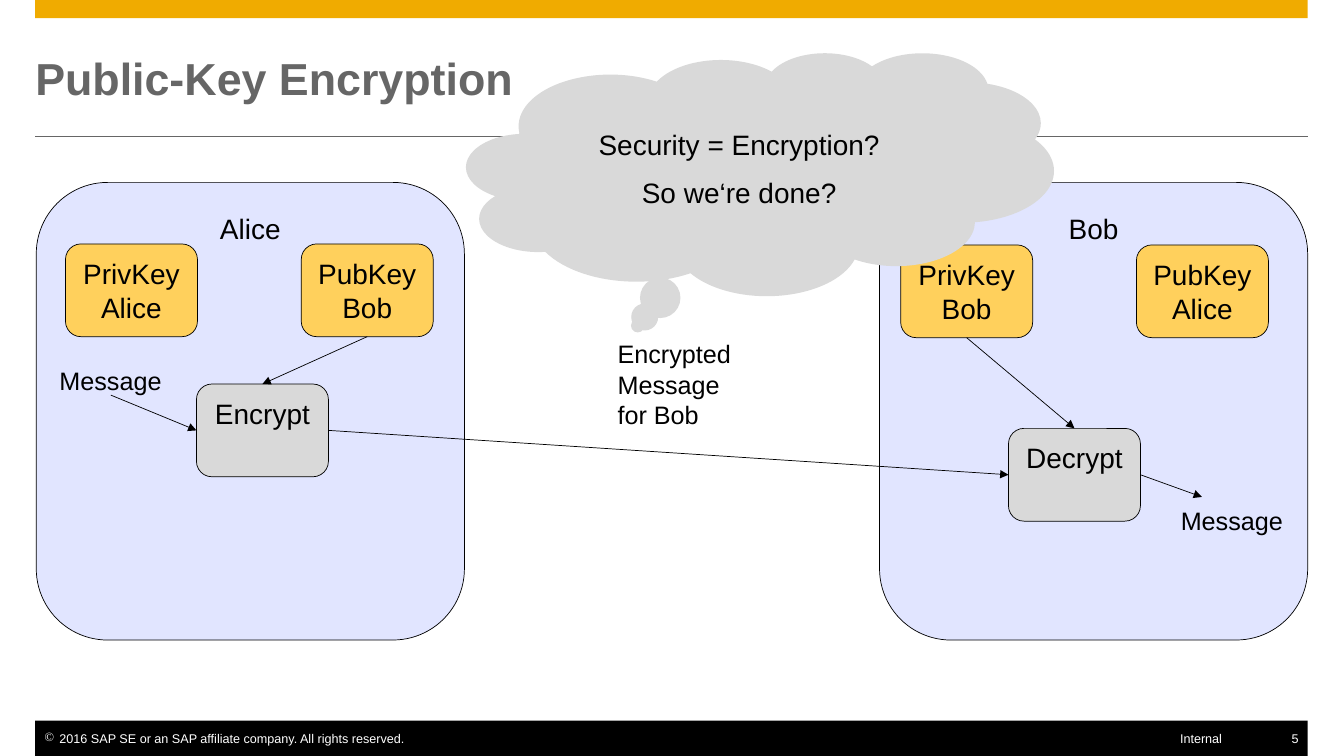
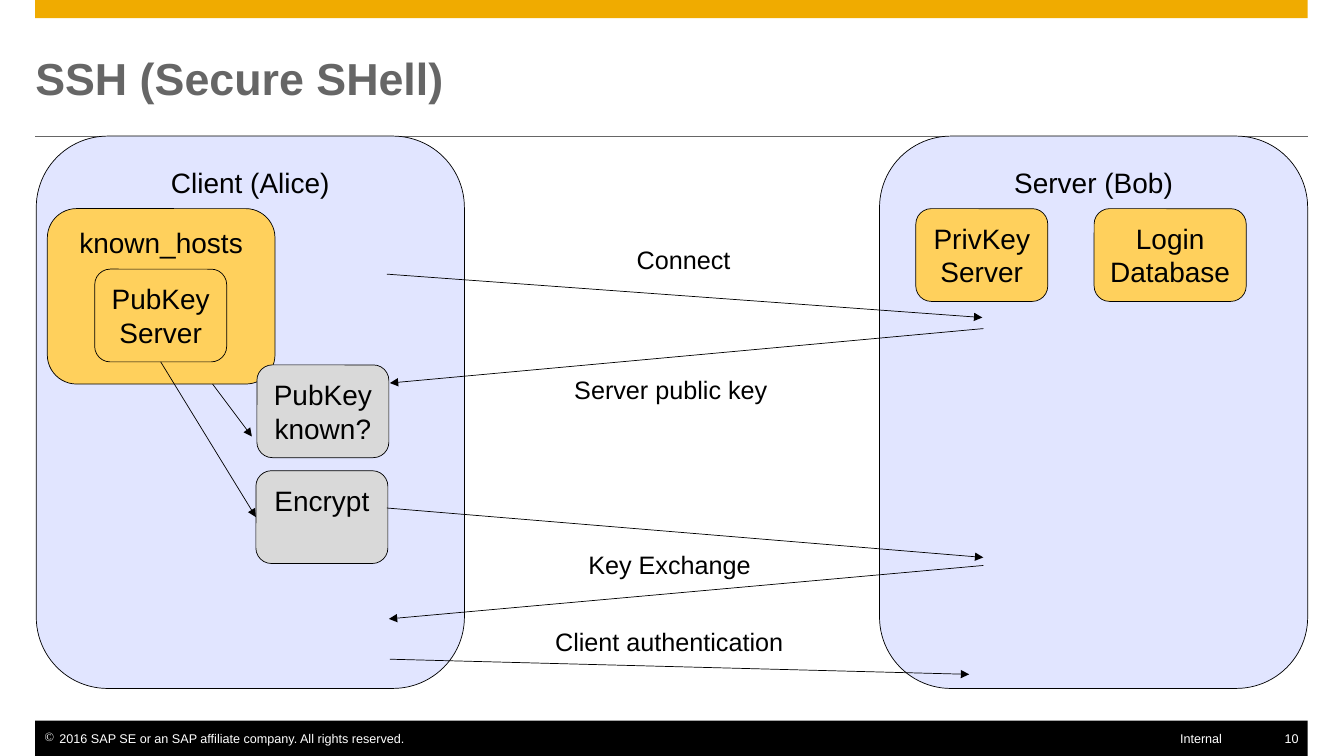
"""Build two slides on public-key encryption and SSH."""
from dataclasses import dataclass

from lxml.etree import SubElement
from pptx import Presentation
from pptx.dml.color import RGBColor
from pptx.enum.shapes import MSO_CONNECTOR as Connector, MSO_SHAPE as Shape
from pptx.enum.text import MSO_ANCHOR as Anchor, MSO_AUTO_SIZE as AutoSize, PP_ALIGN as Align
from pptx.oxml.ns import qn
from pptx.util import Inches, Pt


@dataclass(frozen=True)
class Theme:
    """Colours, font and type sizes."""
    font: str = "Arial"
    accent: str = "F0AB00"
    grey: str = "666666"
    black: str = "000000"
    white: str = "FFFFFF"
    panel: str = "E1E5FF"
    key: str = "FFD05C"
    step: str = "D9D9D9"
    title_size: int = 32
    node_size: int = 20
    label_size: int = 18
    footer_size: int = 9
    line_width: float = 0.5


THEME = Theme()
TOP, LEFT, BOTTOM, RIGHT = range(4)
MARGIN, CONTENT_WIDTH = 0.35, 12.63
PANEL_WIDTH, PANEL_LEFTS = 4.25, (0.36, 8.73)
NODE_SIZE = (1.31, 0.92)
NODE_INSETS = (0.1, 0.08, 0.1, 0.08)
COPYRIGHT = "2016 SAP SE or an SAP affiliate company. All rights reserved."
CLASSIFICATION = "Internal"

SLIDES = [
    {
        "title": "Public-Key Encryption",
        "number": 5,
        "panels": ("Alice", "Bob"),
        "panel_span": (1.81, 4.54),
        "nodes": {
            "alice_private": ("PrivKey Alice", THEME.key, (0.65, 2.42), NODE_SIZE),
            "bob_public": ("PubKey Bob", THEME.key, (2.99, 2.42), NODE_SIZE),
            "encrypt": ("Encrypt", THEME.step, (1.95, 3.81), NODE_SIZE),
            "decrypt": ("Decrypt", THEME.step, (10.01, 4.25), NODE_SIZE),
            "bob_private": ("PrivKey Bob", THEME.key, (8.94, 2.43), NODE_SIZE),
            "alice_public": ("PubKey Alice", THEME.key, (11.28, 2.43), NODE_SIZE),
        },
        "labels": {
            "sent": ("Message", (0.59, 3.62, 1.02, 0.3)),
            "cipher": ("Encrypted\vMessage\vfor Bob", (6.13, 3.36, 1.21, 0.91)),
            "received": ("Message", (11.72, 5.01, 1.02, 0.3)),
        },
        "arrows": [
            (("sent", BOTTOM), ("encrypt", LEFT)),
            (("encrypt", RIGHT), ("decrypt", LEFT)),
            (("bob_public", BOTTOM), ("encrypt", TOP)),
            (("decrypt", RIGHT), (11.93, 4.93)),
            (("bob_private", BOTTOM), ("decrypt", TOP)),
        ],
        "cloud": (["Security = Encryption?", "So we‘re done?"], (4.63, 0.52, 5.83, 2.41)),
    },
    {
        "title": "SSH (Secure SHell)",
        "number": 10,
        "panels": ("Client (Alice)", "Server (Bob)"),
        "panel_span": (1.35, 5.48),
        "nodes": {
            "server_private": ("PrivKey Server", THEME.key, (9.09, 2.07), NODE_SIZE),
            "known_hosts": ("known_hosts", THEME.key, (0.47, 2.07), (2.26, 1.74)),
            "server_public": ("PubKey Server", THEME.key, (0.94, 2.67), NODE_SIZE),
            "key_check": ("PubKey\vknown?", THEME.step, (2.55, 3.62), NODE_SIZE),
            "encrypt": ("Encrypt", THEME.step, (2.54, 4.67), NODE_SIZE),
            "logins": ("Login Database", THEME.key, (10.86, 2.07), (1.51, 0.92)),
        },
        "labels": {
            "connect": ("Connect", (6.32, 2.42, 0.94, 0.3)),
            "public_key": ("Server public key", (5.7, 3.71, 1.94, 0.3)),
            "exchange": ("Key Exchange", (5.84, 5.45, 1.63, 0.3)),
            "authentication": ("Client authentication", (5.51, 6.21, 2.29, 0.3)),
        },
        "arrows": [
            ((3.84, 2.72), (9.75, 3.15)),
            ((9.76, 3.26), (3.87, 3.8)),
            ((3.84, 5.04), (9.76, 5.53)),
            ((2.11, 3.81), (2.5, 4.33)),
            (("server_public", BOTTOM), ("encrypt", LEFT)),
            ((9.76, 5.61), (3.86, 6.14)),
            ((3.87, 6.54), (9.62, 6.69)),
        ],
    },
]


def rgb(value):
    """Turn a hex string into a colour."""
    return RGBColor.from_string(value)


def write(shape, lines, size, color, align=Align.LEFT, anchor=Anchor.TOP,
          insets=(0, 0, 0, 0), wrap=True, bold=False, bullet=None):
    """Fill a shape with formatted paragraphs."""
    frame = shape.text_frame
    frame.auto_size = AutoSize.NONE
    frame.word_wrap = wrap
    frame.vertical_anchor = anchor
    (frame.margin_left, frame.margin_top,
     frame.margin_right, frame.margin_bottom) = map(Inches, insets)
    for index, line in enumerate(lines):
        paragraph = frame.add_paragraph() if index else frame.paragraphs[0]
        paragraph.text = line
        paragraph.alignment = align
        paragraph.space_before = Pt(size / 2 if index else 0)
        if bullet:
            properties = paragraph._p.get_or_add_pPr()
            properties.set("marL", str(Inches(0.15)))
            properties.set("indent", str(-Inches(0.15)))
            bullet_color = SubElement(properties, qn("a:buClr"))
            SubElement(bullet_color, qn("a:srgbClr"), val=color)
            SubElement(properties, qn("a:buChar"), char=bullet)
        font = paragraph.font
        font.name, font.size, font.bold = THEME.font, Pt(size), bold
        font.color.rgb = rgb(color)


def add_block(slide, kind, box, fill, outlined=False):
    """Add a filled preset shape, outlined on request."""
    block = slide.shapes.add_shape(kind, *map(Inches, box))
    block.shadow.inherit = False
    block.fill.solid()
    block.fill.fore_color.rgb = rgb(fill)
    if outlined:
        block.line.color.rgb = rgb(THEME.black)
        block.line.width = Pt(THEME.line_width)
    else:
        block.line.fill.background()
    return block


def add_node(slide, text, fill, box):
    """Add an outlined rounded box with centred text."""
    node = add_block(slide, Shape.ROUNDED_RECTANGLE, box, fill, outlined=True)
    write(node, [text], THEME.node_size, THEME.black, Align.CENTER, insets=NODE_INSETS)
    return node


def add_label(slide, text, box, size, color, **style):
    """Add an unwrapped text box."""
    label = slide.shapes.add_textbox(*map(Inches, box))
    write(label, [text], size, color, wrap=False, **style)
    return label


def add_line(slide, start, end, color, parts=None, arrow=False):
    """Draw a line between points or named connection sites."""
    joined = [isinstance(point[0], str) for point in (start, end)]
    ends = [(0, 0) if named else point for named, point in zip(joined, (start, end))]
    line = slide.shapes.add_connector(
        Connector.STRAIGHT, *(Inches(value) for point in ends for value in point))
    if joined[0]:
        line.begin_connect(parts[start[0]], start[1])
    if joined[1]:
        line.end_connect(parts[end[0]], end[1])
    line.line.color.rgb = rgb(color)
    line.line.width = Pt(THEME.line_width)
    if arrow:
        SubElement(line.line._get_or_add_ln(), qn("a:tailEnd"), type="triangle")
    SubElement(line._element.spPr, qn("a:effectLst"))


def add_frame(slide, title, number):
    """Add the title, rule, bands and footer every slide shares."""
    heading = slide.shapes.title
    heading.left, heading.top, heading.width, heading.height = map(
        Inches, (MARGIN, 0.35, CONTENT_WIDTH, 0.83))
    write(heading, [title], THEME.title_size, THEME.grey, anchor=Anchor.MIDDLE, bold=True)
    add_line(slide, (MARGIN, 1.35), (MARGIN + CONTENT_WIDTH, 1.35), THEME.grey)
    for top, height, color in ((0, 0.18, THEME.accent), (7.15, 0.35, THEME.black)):
        add_block(slide, Shape.RECTANGLE, (MARGIN, top, CONTENT_WIDTH, height), color)
    footers = (
        (COPYRIGHT, MARGIN, 3.72, {"insets": (0.09, 0, 0, 0), "bullet": "©"}),
        (str(number), 12.73, 0.25, {"insets": (0, 0, 0.09, 0), "align": Align.RIGHT}),
        (CLASSIFICATION, 10.76, 1.37, {"align": Align.RIGHT}),
    )
    for text, left, width, style in footers:
        add_label(slide, text, (left, 7.25, width, 0.15),
                  THEME.footer_size, THEME.white, **style)


def build_slide(deck, content):
    """Add one diagram slide."""
    slide = deck.slides.add_slide(deck.slide_layouts[5])
    add_frame(slide, content["title"], content["number"])
    top, height = content["panel_span"]
    for name, left in zip(content["panels"], PANEL_LEFTS):
        add_node(slide, name, THEME.panel, (left, top, PANEL_WIDTH, height))
    parts = {}
    for name, (text, fill, position, size) in content["nodes"].items():
        parts[name] = add_node(slide, text, fill, position + size)
    for name, (text, box) in content["labels"].items():
        parts[name] = add_label(slide, text, box, THEME.label_size, THEME.black)
    for start, end in content["arrows"]:
        add_line(slide, start, end, THEME.black, parts, arrow=True)
    if "cloud" in content:
        lines, box = content["cloud"]
        cloud = add_block(slide, Shape.CLOUD_CALLOUT, box, THEME.step)
        write(cloud, lines, THEME.node_size, THEME.black, Align.CENTER,
              Anchor.MIDDLE, NODE_INSETS)


def main():
    """Build and save the presentation."""
    deck = Presentation()
    deck.slide_width, deck.slide_height = Inches(13.34), Inches(7.5)
    for content in SLIDES:
        build_slide(deck, content)
    deck.save("out.pptx")


if __name__ == "__main__":
    main()
